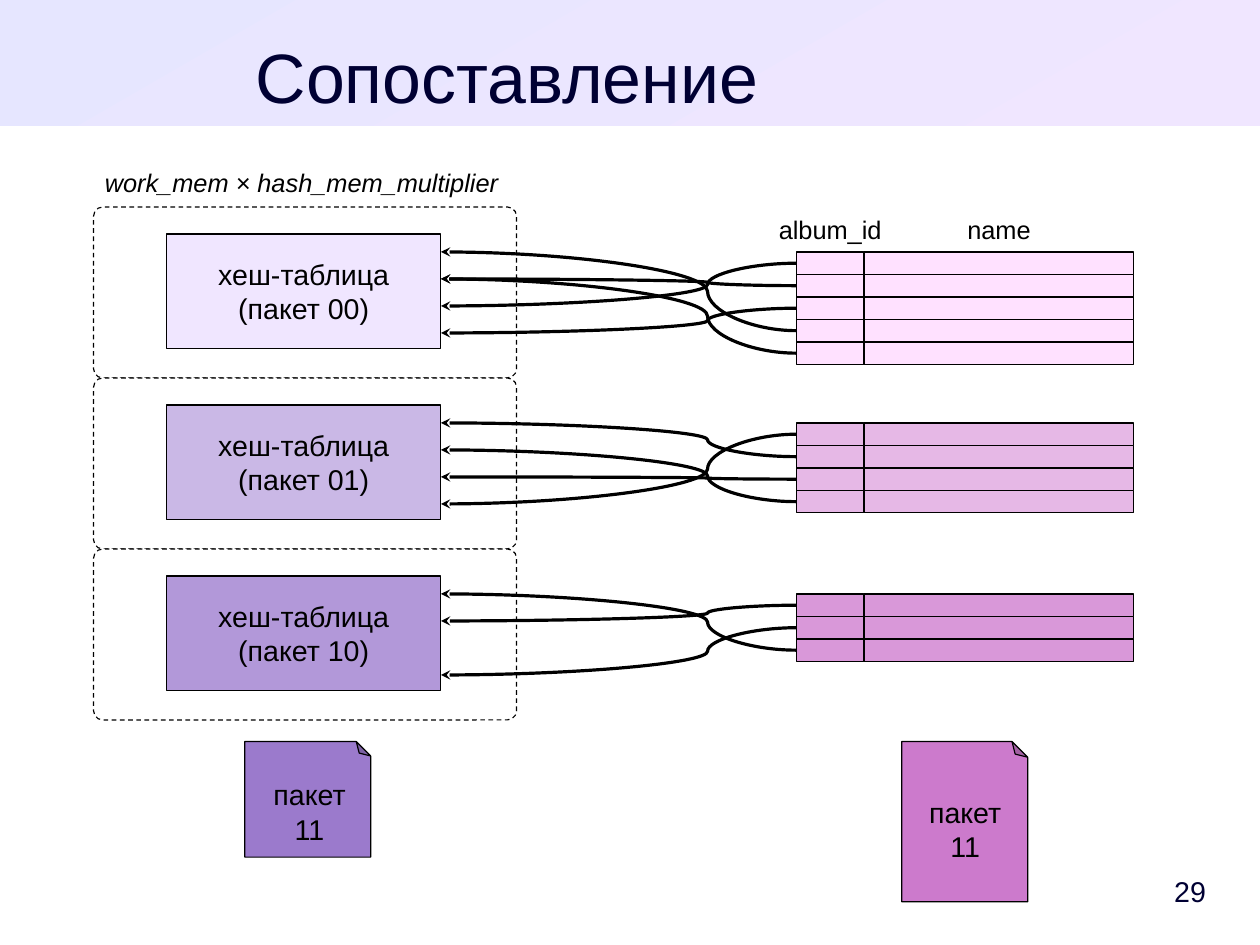
from lxml import etree
from pptx import Presentation
from pptx.dml.color import RGBColor
from pptx.enum import dml, shapes, text
from pptx.oxml import ns
from pptx.util import Cm, Pt

FONT = "Arial"
BLACK = RGBColor(0x00, 0x00, 0x00)
WHITE = RGBColor(0xFF, 0xFF, 0xFF)
NAVY = RGBColor(0x00, 0x00, 0x33)
BAND_START = RGBColor(0xE6, 0xE6, 0xFF)
BAND_END = RGBColor(0xF0, 0xE6, 0xFF)
HASH_FILLS = [RGBColor(0xF0, 0xE6, 0xFF), RGBColor(0xCA, 0xB8, 0xE6), RGBColor(0xB2, 0x98, 0xD9)]
ROW_FILLS = [RGBColor(0xFF, 0xE1, 0xFF), RGBColor(0xE6, 0xB8, 0xE6), RGBColor(0xD9, 0x98, 0xD9)]
VIOLET = RGBColor(0x9B, 0x7A, 0xCC)
MAGENTA = RGBColor(0xCC, 0x7A, 0xCC)

BATCH_NAMES = ["00", "01", "10"]
ROW_SLOTS = [[2, 1, 3, 0, 1], [3, 0, 2, 1], [1, 3, 0]]

BATCH_STEP = 3.8
FRAME_LEFT, FRAME_TOP, FRAME_WIDTH = 2.08, 4.6, 9.4
HASH_LEFT, HASH_TOP, HASH_WIDTH, HASH_HEIGHT = 3.7, 5.2, 6.1, 2.54
ROWS_LEFT, ROWS_TOP, ROW_HEIGHT = 17.7, 5.6, 0.5
ID_WIDTH, NAME_WIDTH = 1.5, 6
SLOT_STEP = 0.6


def write_text(shape, content, size=18, color=BLACK, align=text.PP_ALIGN.CENTER,
               anchor=text.MSO_ANCHOR.MIDDLE, italic=False, wrap=False, margin=None):
    """Fill a shape with text in one format."""
    frame = shape.text_frame
    frame.text = content
    frame.word_wrap = wrap
    frame.auto_size = text.MSO_AUTO_SIZE.NONE
    frame.vertical_anchor = anchor
    if margin is not None:
        frame.margin_left = frame.margin_right = Cm(margin)
        frame.margin_top = frame.margin_bottom = Cm(margin)
    for paragraph in frame.paragraphs:
        paragraph.alignment = align
        for run in paragraph.runs:
            run.font.name = FONT
            run.font.size = Pt(size)
            run.font.italic = italic
            run.font.color.rgb = color


def add_label(slide, content, left, top, width, height, **style):
    """Add a free text box."""
    box = slide.shapes.add_textbox(Cm(left), Cm(top), Cm(width), Cm(height))
    write_text(box, content, **style)


def add_box(slide, kind, left, top, width, height, fill):
    """Add a filled shape with a hairline outline."""
    shape = slide.shapes.add_shape(kind, Cm(left), Cm(top), Cm(width), Cm(height))
    shape.shadow.inherit = False
    shape.fill.solid()
    shape.fill.fore_color.rgb = fill
    shape.line.color.rgb = BLACK
    shape.line.width = Pt(0)
    return shape


def set_guide(shape, name, value):
    """Set an adjustment of a preset outline, in thousandths of a percent."""
    guides = shape._element.spPr.find(ns.qn("a:prstGeom")).get_or_add_avLst()
    etree.SubElement(guides, ns.qn("a:gd"), name=name, fmla=f"val {value}")


def add_band(slide, width):
    """Add the gradient band behind the title."""
    band = add_box(slide, shapes.MSO_SHAPE.RECTANGLE, 0, 0, width, 2.8, BAND_START)
    band.line.fill.background()
    band.fill.gradient()
    band.fill.gradient_angle = 300
    for stop, color, position in zip(band.fill.gradient_stops, (BAND_START, BAND_END), (0, 1)):
        stop.color.rgb = color
        stop.position = position
    slide.shapes._spTree.insert(2, band._element)


def add_arrow(slide, row_middle, slot_middle):
    """Add a curved arrow from a row to a slot of the hash table."""
    arrow = slide.shapes.add_connector(
        shapes.MSO_CONNECTOR.CURVE, Cm(ROWS_LEFT), Cm(row_middle),
        Cm(HASH_LEFT + HASH_WIDTH), Cm(slot_middle))
    arrow.line.color.rgb = BLACK
    arrow.line.width = Pt(0)
    set_guide(arrow, "adj1", 25000)
    properties = arrow._element.spPr
    etree.SubElement(properties.find(ns.qn("a:ln")), ns.qn("a:tailEnd"), type="stealth")
    etree.SubElement(properties, ns.qn("a:effectLst"))


def add_hash_table(slide, name, offset, fill):
    """Add a memory frame with the hash table of one batch."""
    frame = add_box(slide, shapes.MSO_SHAPE.ROUNDED_RECTANGLE, FRAME_LEFT,
                    FRAME_TOP + offset, FRAME_WIDTH, BATCH_STEP, WHITE)
    frame.adjustments[0] = 0.054
    frame.line.dash_style = dml.MSO_LINE.DASH
    table = add_box(slide, shapes.MSO_SHAPE.RECTANGLE, HASH_LEFT, HASH_TOP + offset,
                    HASH_WIDTH, HASH_HEIGHT, fill)
    write_text(table, f"хеш-таблица\n(пакет {name})")


def add_rows(slide, slots, offset, fill):
    """Add the rows of one batch, each with its arrow."""
    first_top = ROWS_TOP + offset
    for index, slot in enumerate(slots):
        top = first_top + index * ROW_HEIGHT
        for left, width in ((ROWS_LEFT, ID_WIDTH), (ROWS_LEFT + ID_WIDTH, NAME_WIDTH)):
            add_box(slide, shapes.MSO_SHAPE.RECTANGLE, left, top, width, ROW_HEIGHT, fill)
        add_arrow(slide, top + ROW_HEIGHT / 2, first_top + slot * SLOT_STEP)


def add_file(slide, left, height, label_left, label_top, fill):
    """Add a batch file with its corner folded at the top."""
    page = add_box(slide, shapes.MSO_SHAPE.FOLDED_CORNER, left, 16.48, 2.8, height, fill)
    set_guide(page, "adj", 12500)
    page._element.spPr.find(ns.qn("a:xfrm")).set("flipV", "1")
    add_label(slide, "пакет\n11", label_left, label_top, 2.2, 1.68, anchor=text.MSO_ANCHOR.TOP)


def main():
    """Build the slide and save it."""
    presentation = Presentation()
    presentation.slide_width, presentation.slide_height = Cm(28), Cm(21)
    slide = presentation.slides.add_slide(presentation.slide_layouts[5])
    add_band(slide, 28)

    title = slide.shapes.title
    title.left, title.top, title.width, title.height = Cm(1.2), Cm(0.74), Cm(20.14), Cm(1.8)
    write_text(title, "Сопоставление", size=44, color=NAVY,
               anchor=text.MSO_ANCHOR.TOP, wrap=True, margin=0)

    add_label(slide, "work_mem × hash_mem_multiplier", FRAME_LEFT, 3.58, FRAME_WIDTH, 0.9,
              size=16, align=text.PP_ALIGN.LEFT, anchor=text.MSO_ANCHOR.TOP, italic=True)
    add_label(slide, "album_id", ROWS_LEFT, 4.6, ID_WIDTH, 1, size=16)
    add_label(slide, "name", ROWS_LEFT + ID_WIDTH, 4.6, NAME_WIDTH, 1, size=16)

    for index, name in enumerate(BATCH_NAMES):
        offset = index * BATCH_STEP
        add_hash_table(slide, name, offset, HASH_FILLS[index])
        add_rows(slide, ROW_SLOTS[index], offset, ROW_FILLS[index])

    add_file(slide, 5.44, 2.57, 5.78, 17.15, VIOLET)
    add_file(slide, 20.04, 3.56, 20.35, 17.53, MAGENTA)
    add_label(slide, "29", 24.6, 19.2, 2.2, 1.2, color=NAVY,
              align=text.PP_ALIGN.RIGHT, wrap=True, margin=0)
    presentation.save("out.pptx")


if __name__ == "__main__":
    main()
